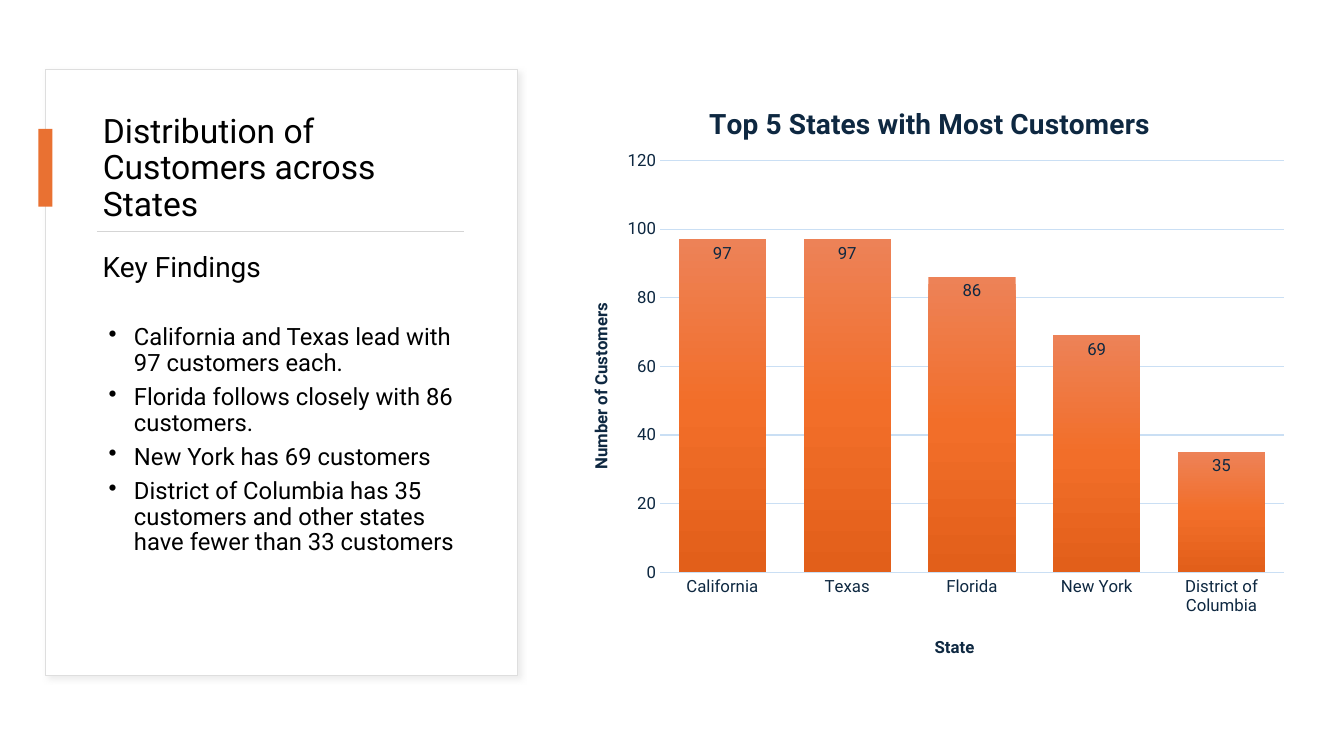
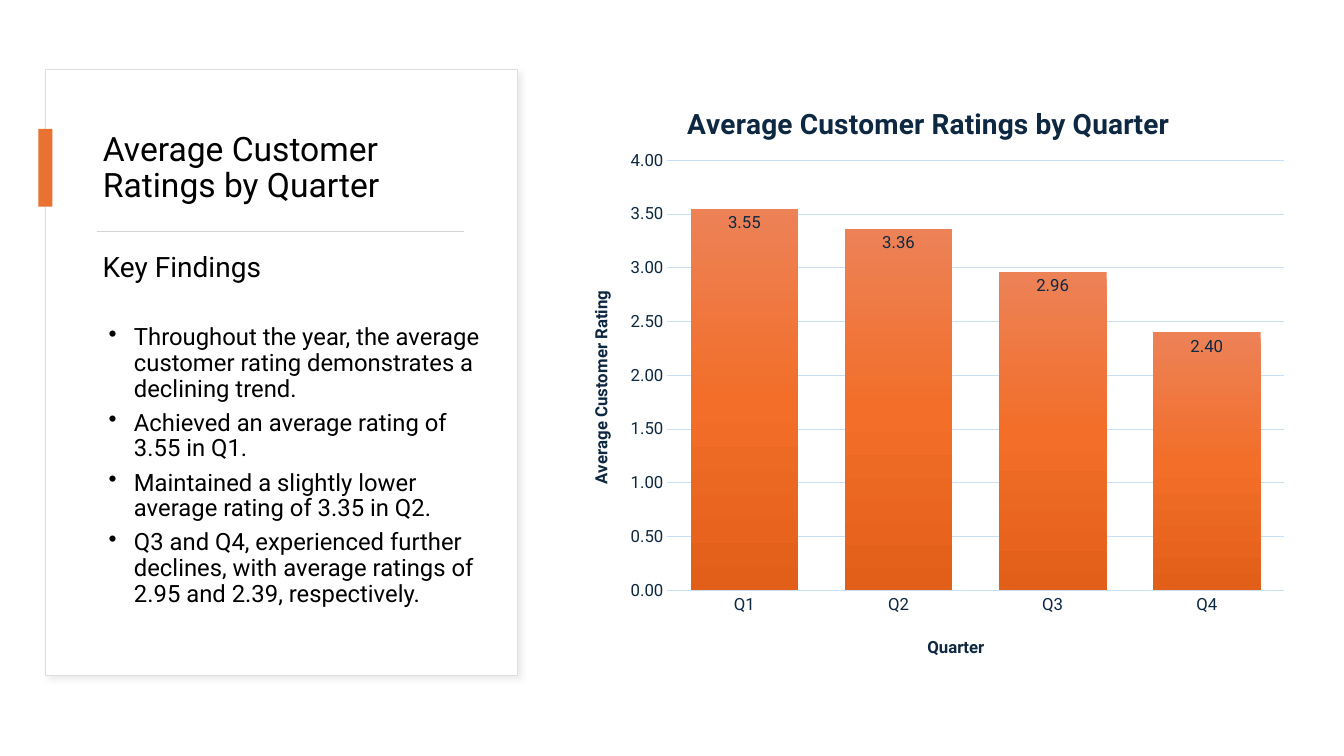
"""Build two slides that pair key findings with a column chart."""
import copy
import dataclasses
import typing

import pptx
import pptx.chart.data
import pptx.dml.color
import pptx.enum.chart
import pptx.enum.shapes
import pptx.enum.text
import pptx.oxml
import pptx.oxml.ns
import pptx.util

Inches = pptx.util.Inches
Pt = pptx.util.Pt
RGB = pptx.dml.color.RGBColor.from_string
qn = pptx.oxml.ns.qn


@dataclasses.dataclass(frozen=True)
class Theme:
    font: str = "Roboto"
    ink: str = "000000"
    navy: str = "0E2841"
    white: str = "FFFFFF"
    edge: str = "DEDEDE"
    shade: str = "D9D9D9"
    rule: str = "D5D5D5"
    accent: str = "E97132"
    grid: str = "CADFF4"
    bars: tuple[str, ...] = ("ED8257", "F26E29", "E25F1A")
    title: int = 24
    lead: int = 20
    body: int = 17
    label: int = 12
    hair: float = 0.75


@dataclasses.dataclass(frozen=True)
class Graph:
    title: str
    names: tuple[str, ...]
    values: tuple[float, ...]
    across: str
    upward: str
    top: float
    step: float
    digits: str
    plot: tuple[float, float, float, float]
    head_at: tuple[float, float]
    across_at: tuple[float, float]
    upward_at: tuple[float, float]


@dataclasses.dataclass(frozen=True)
class Page:
    title: str
    points: tuple[str, ...]
    width: float
    graph: Graph


THEME = Theme()

PAGES = (
    Page(
        "Distribution of Customers across States",
        (
            "California and Texas lead with 97 customers each.",
            "Florida follows closely with 86 customers.",
            "New York has 69 customers",
            "District of Columbia has 35 customers and other states have fewer than 33 customers",
        ),
        3.73,
        Graph(
            "Top 5 States with Most Customers",
            ("California", "Texas", "Florida", "New York", "District of Columbia"),
            (97, 97, 86, 69, 35),
            "State", "Number of Customers", 120, 20, "0",
            (0.13, 0.15, 0.85, 0.68), (0.19, 0.05), (0.5, 0.93), (0.03, 0.38),
        ),
    ),
    Page(
        "Average Customer Ratings by Quarter",
        (
            "Throughout the year, the average customer rating demonstrates a declining trend.",
            "Achieved an average rating of 3.55 in Q1.",
            "Maintained a slightly lower average rating of 3.35 in Q2.",
            "Q3 and Q4, experienced further declines, with average ratings of 2.95 and 2.39, respectively.",
        ),
        4.12,
        Graph(
            "Average Customer Ratings by Quarter",
            ("Q1", "Q2", "Q3", "Q4"),
            (3.55, 3.36, 2.96, 2.4),
            "Quarter", "Average Customer Rating", 4, 0.5, "0.00",
            (0.14, 0.15, 0.84, 0.71), (0.16, 0.05), (0.49, 0.93), (0.03, 0.36),
        ),
    ),
)


def style(font: typing.Any, size: int, color: str, bold: bool = False) -> None:
    """Set the face, size and colour of a font."""
    font.name, font.size, font.bold = THEME.font, Pt(size), bold
    font.color.rgb = RGB(color)


def write(frame: typing.Any, text: str, *, size: int, color: str = THEME.ink,
          bold: bool = False, lines: float | None = None,
          after: float | None = None, bullet: bool = False) -> None:
    """Add one formatted paragraph to a text frame."""
    para = frame.add_paragraph() if frame.paragraphs[0].runs else frame.paragraphs[0]
    run = para.add_run()
    run.text = text
    style(run.font, size, color, bold)
    if lines is not None:
        para.alignment = pptx.enum.text.PP_ALIGN.LEFT
        para.line_spacing = lines
    if after is not None:
        para.space_after = Pt(after)
    if bullet:
        props = para._p.get_or_add_pPr()
        props.set("marL", str(Inches(0.31)))
        props.set("indent", str(Inches(-0.25)))
        props.append(pptx.oxml.parse_xml(
            f'<a:buChar {pptx.oxml.ns.nsdecls("a")} char="•"/>'))


def block(slide: typing.Any, color: str, left: float, top: float,
          width: float, height: float) -> typing.Any:
    """Draw a plain filled rectangle."""
    shape = slide.shapes.add_shape(
        pptx.enum.shapes.MSO_SHAPE.RECTANGLE,
        Inches(left), Inches(top), Inches(width), Inches(height))
    shape.shadow.inherit = False
    shape.fill.solid()
    shape.fill.fore_color.rgb = RGB(color)
    shape.line.fill.background()
    return shape


def panel(slide: typing.Any) -> None:
    """Draw the framed card with its soft shadow."""
    card = block(slide, THEME.white, 0.45, 0.69, 4.68, 6.01)
    card.line.color.rgb = RGB(THEME.edge)
    card.line.width = Pt(THEME.hair)
    card._element.spPr.find(qn("a:effectLst")).append(pptx.oxml.parse_xml(
        f'<a:outerShdw {pptx.oxml.ns.nsdecls("a")} blurRad="{Pt(4)}" dist="{Pt(3)}" '
        f'dir="2700000" algn="tl" rotWithShape="0"><a:srgbClr val="{THEME.shade}">'
        '<a:alpha val="50000"/></a:srgbClr></a:outerShdw>'))
    block(slide, THEME.accent, 0.38, 1.28, 0.14, 0.77)
    rule = slide.shapes.add_connector(
        pptx.enum.shapes.MSO_CONNECTOR.STRAIGHT,
        Inches(0.96), Inches(2.3), Inches(4.6), Inches(2.3))
    rule.line.color.rgb = RGB(THEME.rule)
    rule.line.width = Pt(THEME.hair)
    rule._element.spPr.append(pptx.oxml.parse_xml(
        f'<a:effectLst {pptx.oxml.ns.nsdecls("a")}/>'))


def head(slide: typing.Any, text: str) -> None:
    """Place the title above the card."""
    title = slide.shapes.title
    title.left, title.top = Inches(0.92), Inches(1.07)
    title.width, title.height = Inches(3.73), Inches(1.21)
    frame = title.text_frame
    frame.word_wrap = True
    frame.auto_size = pptx.enum.text.MSO_AUTO_SIZE.NONE
    frame.vertical_anchor = pptx.enum.text.MSO_ANCHOR.MIDDLE
    write(frame, text, size=THEME.title, lines=0.9)
    slide.shapes._spTree.append(title._element)


def notes(slide: typing.Any, page: Page) -> None:
    """List the key findings."""
    box = slide.shapes.add_textbox(
        Inches(0.92), Inches(2.46), Inches(page.width), Inches(3.89))
    frame = box.text_frame
    frame.word_wrap = True
    write(frame, "Key Findings", size=THEME.lead, lines=0.9, after=30)
    for point in page.points:
        write(frame, point, size=THEME.body, lines=0.9, after=6, bullet=True)


def place(node: typing.Any, index: int, spot: tuple[float, ...]) -> None:
    """Fix a chart part at fractions of the chart's size."""
    for old in node.findall(qn("c:layout")):
        node.remove(old)
    target = '<c:layoutTarget val="inner"/>' if len(spot) == 4 else ""
    modes = '<c:xMode val="edge"/><c:yMode val="edge"/>'
    parts = "".join(f'<c:{key} val="{val}"/>' for key, val in zip("xywh", spot))
    node.insert(index, pptx.oxml.parse_xml(
        f'<c:layout {pptx.oxml.ns.nsdecls("c")}><c:manualLayout>'
        f'{target}{modes}{parts}</c:manualLayout></c:layout>'))


def name(title: typing.Any, text: str, size: int, spot: tuple[float, float]) -> None:
    """Write and place a chart or axis title."""
    write(title.text_frame, text, size=size, color=THEME.navy, bold=True)
    place(title._element, 1, spot)


def paint(fill: typing.Any, holder: typing.Any) -> None:
    """Fill the columns from light at the top to dark at the foot."""
    fill.gradient()
    fill.gradient_angle = 270
    stops = holder.find(".//" + qn("a:gsLst"))
    while len(stops) < len(THEME.bars):
        stops.append(copy.deepcopy(stops[0]))
    for index, (stop, color) in enumerate(zip(fill.gradient_stops, THEME.bars)):
        stop.position = index / (len(THEME.bars) - 1)
        stop.color.rgb = RGB(color)


def draw(slide: typing.Any, graph: Graph) -> None:
    """Draw the column chart."""
    data = pptx.chart.data.CategoryChartData()
    data.categories = graph.names
    data.add_series("Series 1", graph.values)
    chart = slide.shapes.add_chart(
        pptx.enum.chart.XL_CHART_TYPE.COLUMN_CLUSTERED,
        Inches(5.6), Inches(0.69), Inches(7.28), Inches(6.01), data).chart
    style(chart.font, THEME.label, THEME.navy)
    chart.has_legend = False
    chart.has_title = True
    name(chart.chart_title, graph.title, THEME.lead, graph.head_at)
    place(chart._chartSpace.find(".//" + qn("c:plotArea")), 0, graph.plot)

    base, scale = chart.category_axis, chart.value_axis
    for axis, text, spot in ((base, graph.across, graph.across_at),
                             (scale, graph.upward, graph.upward_at)):
        axis.major_tick_mark = pptx.enum.chart.XL_TICK_MARK.NONE
        axis.minor_tick_mark = pptx.enum.chart.XL_TICK_MARK.NONE
        style(axis.tick_labels.font, THEME.label, THEME.navy)
        axis.has_title = True
        name(axis.axis_title, text, THEME.label, spot)
    turn = scale.axis_title.text_frame._txBody.bodyPr
    turn.set("rot", "-5400000")
    turn.set("vert", "horz")
    scale.minimum_scale, scale.maximum_scale = 0, graph.top
    scale.major_unit = graph.step
    scale.tick_labels.number_format = graph.digits
    scale.tick_labels.number_format_is_linked = False
    scale.format.line.fill.background()
    for line in (base.format.line, scale.major_gridlines.format.line):
        line.color.rgb = RGB(THEME.grid)
        line.width = Pt(THEME.hair)

    plot = chart.plots[0]
    plot.gap_width, plot.overlap = 43, -12
    plot.vary_by_categories = False
    plot.has_data_labels = True
    labels = plot.data_labels
    labels.show_value = True
    labels.position = pptx.enum.chart.XL_LABEL_POSITION.INSIDE_END
    labels.number_format = graph.digits
    labels.number_format_is_linked = False
    style(labels.font, THEME.label, THEME.navy)
    series = plot.series[0]
    paint(series.format.fill, series._element)


def main() -> None:
    """Build and save the deck."""
    deck = pptx.Presentation()
    deck.slide_width, deck.slide_height = Inches(13.33), Inches(7.5)
    for page in PAGES:
        slide = deck.slides.add_slide(deck.slide_layouts[5])
        panel(slide)
        head(slide, page.title)
        notes(slide, page)
        draw(slide, page.graph)
    deck.save("out.pptx")


if __name__ == "__main__":
    main()
